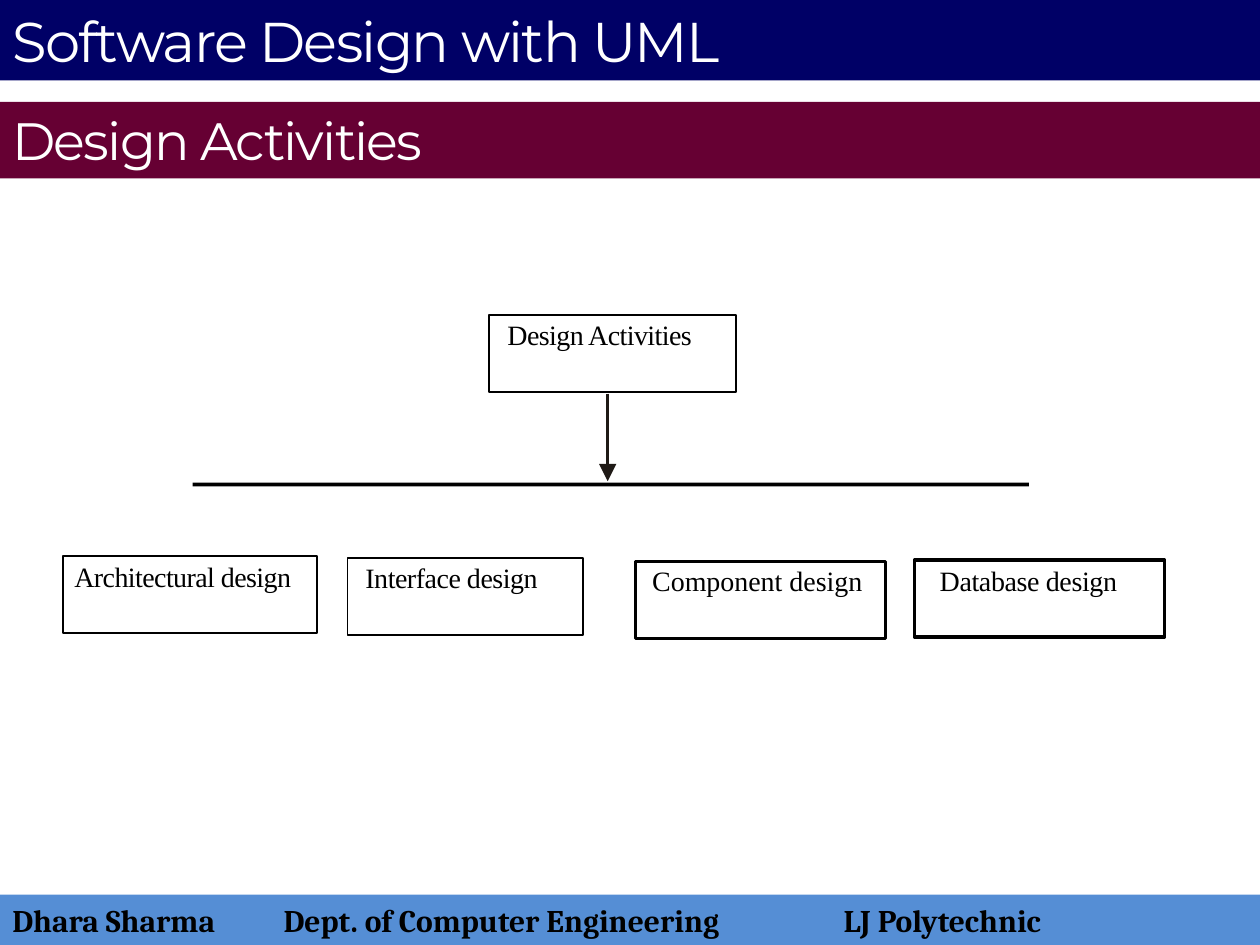
from lxml import etree
from pptx import Presentation
from pptx.dml.color import RGBColor
from pptx.enum.shapes import MSO_CONNECTOR, MSO_SHAPE
from pptx.enum.text import MSO_ANCHOR, PP_ALIGN
from pptx.oxml.ns import qn
from pptx.util import Pt

RECTANGLE = MSO_SHAPE.RECTANGLE
STRAIGHT = MSO_CONNECTOR.STRAIGHT
TOP = MSO_ANCHOR.TOP
LEFT = PP_ALIGN.LEFT

PAGE_WIDTH, PAGE_HEIGHT = 720, 540
BLACK, WHITE, ARROW_COLOR = "000000", "FFFFFF", "1F1A16"

# text, top, height, fill, font, size, color, bold, letter spacing
BANDS = [
    ("Design Activities", 58.2, 43.8, "660033", "Montserrat", 30, WHITE, False, -1),
    ("Dhara Sharma\tDept. of Computer Engineering\tLJ Polytechnic",
     511.2, 28.8, "558ED5", "Cambria", 18, BLACK, True, 0),
    ("Software Design with UML", 0, 46, "000066", "Montserrat", 32, WHITE, False, -1),
]
FOOTER_TABS = [155, 475]

# text, left, top, width, height, line width, left inset, top inset, letter spacing
ACTIVITIES = [
    ("Design Activities", 279.4, 180, 141.1, 44, 1.08, 10.6, 1.3, -0.3),
    ("Architectural design", 36, 317.7, 145, 44, 1.08, 6.5, 1.9, -0.3),
    ("Interface design", 198.6, 319, 134.8, 44, 1.08, 10.2, 1.6, -0.25),
    ("Component design", 363.2, 320.8, 142.9, 44, 2, 9.5, 1, 0),
    ("Database design", 522.6, 320, 142.9, 44, 2, 14.4, 2.2, -0.2),
]
ARROW_X, ARROW_TOP, ARROW_BOTTOM = 347.3, 225, 275
RULE = (110, 275.8, 478, 2.2)


def color(value):
    return RGBColor.from_string(value)


def add_box(page, left, top, width, height, fill=None, line_width=None):
    box = page.shapes.add_shape(RECTANGLE, Pt(left), Pt(top), Pt(width), Pt(height))
    box.shadow.inherit = False
    if fill:
        box.fill.solid()
        box.fill.fore_color.rgb = color(fill)
    else:
        box.fill.background()
    if line_width:
        box.line.color.rgb = color(BLACK)
        box.line.width = Pt(line_width)
    else:
        box.line.fill.background()
    return box


def add_text(box, text, font, size, text_color, spacing, insets, bold=False, tabs=()):
    frame = box.text_frame
    frame.word_wrap = True
    frame.vertical_anchor = TOP
    frame.margin_left, frame.margin_top, frame.margin_right, frame.margin_bottom = map(Pt, insets)
    paragraph = frame.paragraphs[0]
    paragraph.alignment = LEFT
    if tabs:
        tab_list = etree.SubElement(paragraph._p.get_or_add_pPr(), qn("a:tabLst"))
        for position in tabs:
            etree.SubElement(tab_list, qn("a:tab"), pos=str(Pt(position)), algn="l")
    paragraph.font.name = font
    paragraph.font.size = Pt(size)
    paragraph.font.bold = bold
    paragraph.font.color.rgb = color(text_color)
    span = paragraph.add_run()
    span.text = text
    if spacing:
        span._r.get_or_add_rPr().set("spc", str(round(spacing * 100)))


def add_arrow(page, x, top, bottom):
    arrow = page.shapes.add_connector(STRAIGHT, Pt(x), Pt(top), Pt(x), Pt(bottom))
    arrow.line.color.rgb = color(ARROW_COLOR)
    arrow.line.width = Pt(1.5)
    etree.SubElement(arrow.line._get_or_add_ln(), qn("a:tailEnd"),
                     type="triangle", w="lg", len="lg")
    etree.SubElement(arrow._element.spPr, qn("a:effectLst"))


def main():
    deck = Presentation()
    deck.slide_width, deck.slide_height = Pt(PAGE_WIDTH), Pt(PAGE_HEIGHT)
    page = deck.slides.add_slide(deck.slide_layouts[6])

    for text, top, height, fill, font, size, text_color, bold, spacing in BANDS:
        band = add_box(page, 0, top, PAGE_WIDTH, height, fill)
        tabs = FOOTER_TABS if "\t" in text else ()
        add_text(band, text, font, size, text_color, spacing, (7.2, 3.6, 7.2, 3.6), bold, tabs)

    add_arrow(page, ARROW_X, ARROW_TOP, ARROW_BOTTOM)
    add_box(page, *RULE, fill=BLACK)

    for text, left, top, width, height, line_width, inset, top_inset, spacing in ACTIVITIES:
        box = add_box(page, left, top, width, height, line_width=line_width)
        add_text(box, text, "Times New Roman", 16, BLACK, spacing, (inset, top_inset, 0, 0))

    deck.save("out.pptx")


if __name__ == "__main__":
    main()
